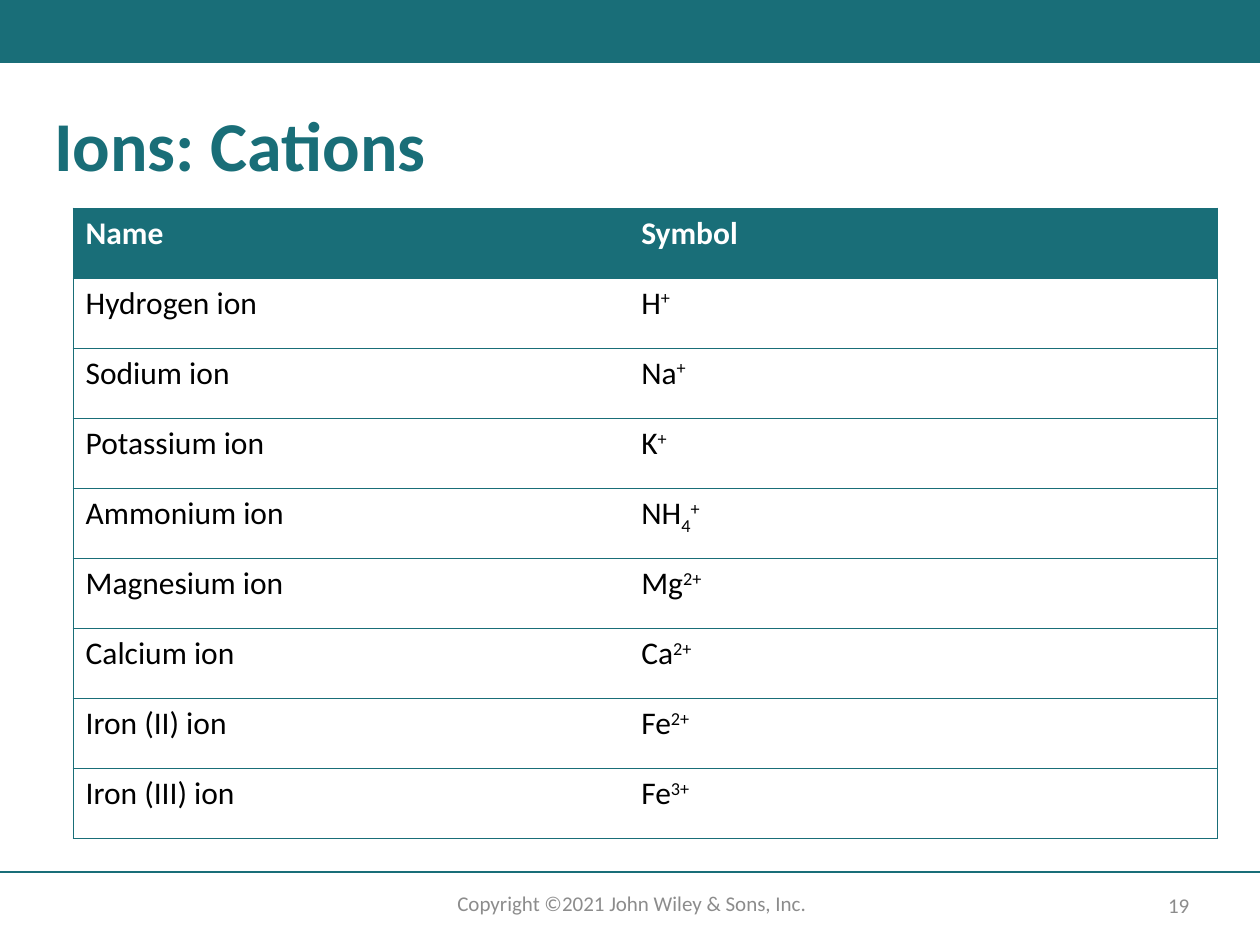
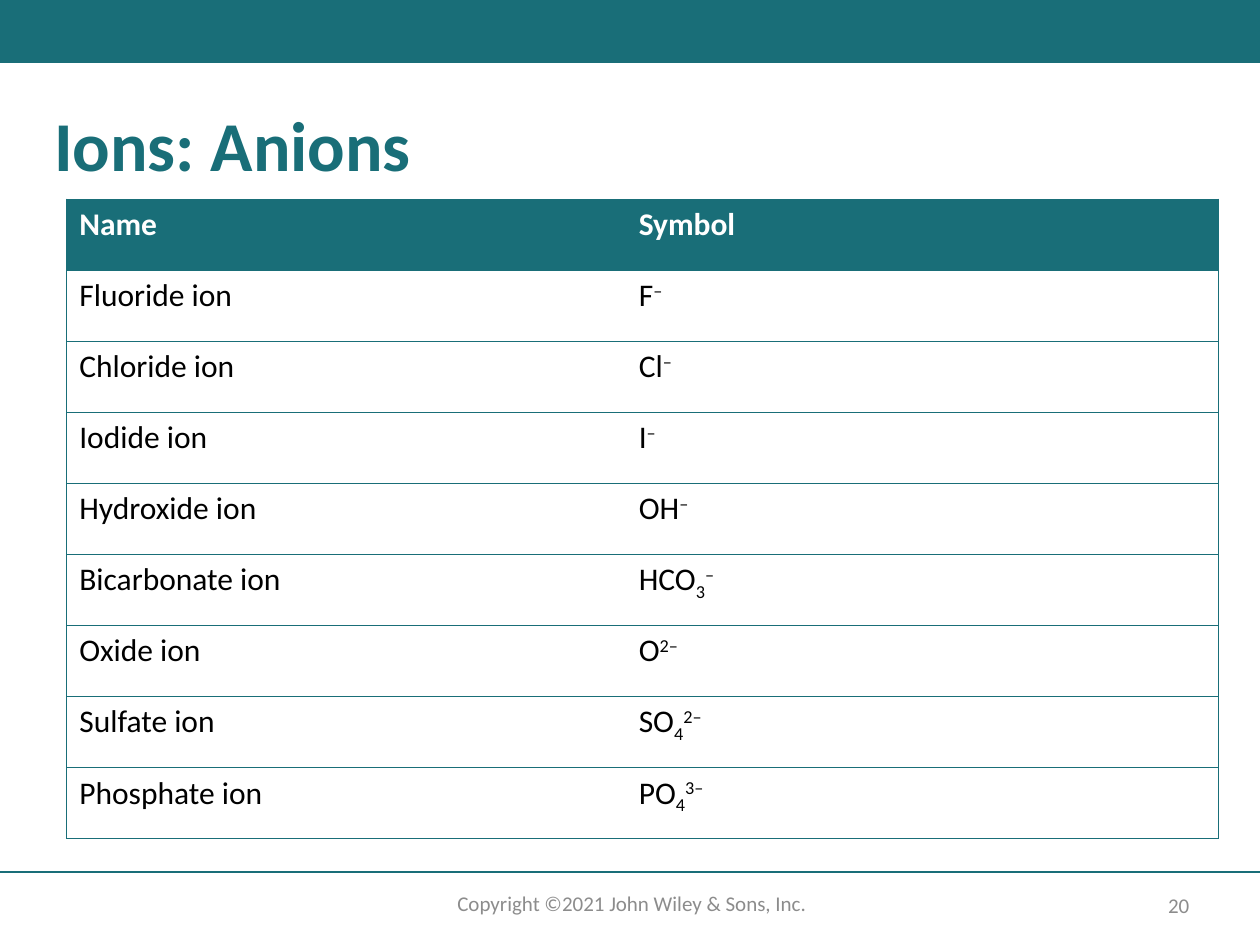
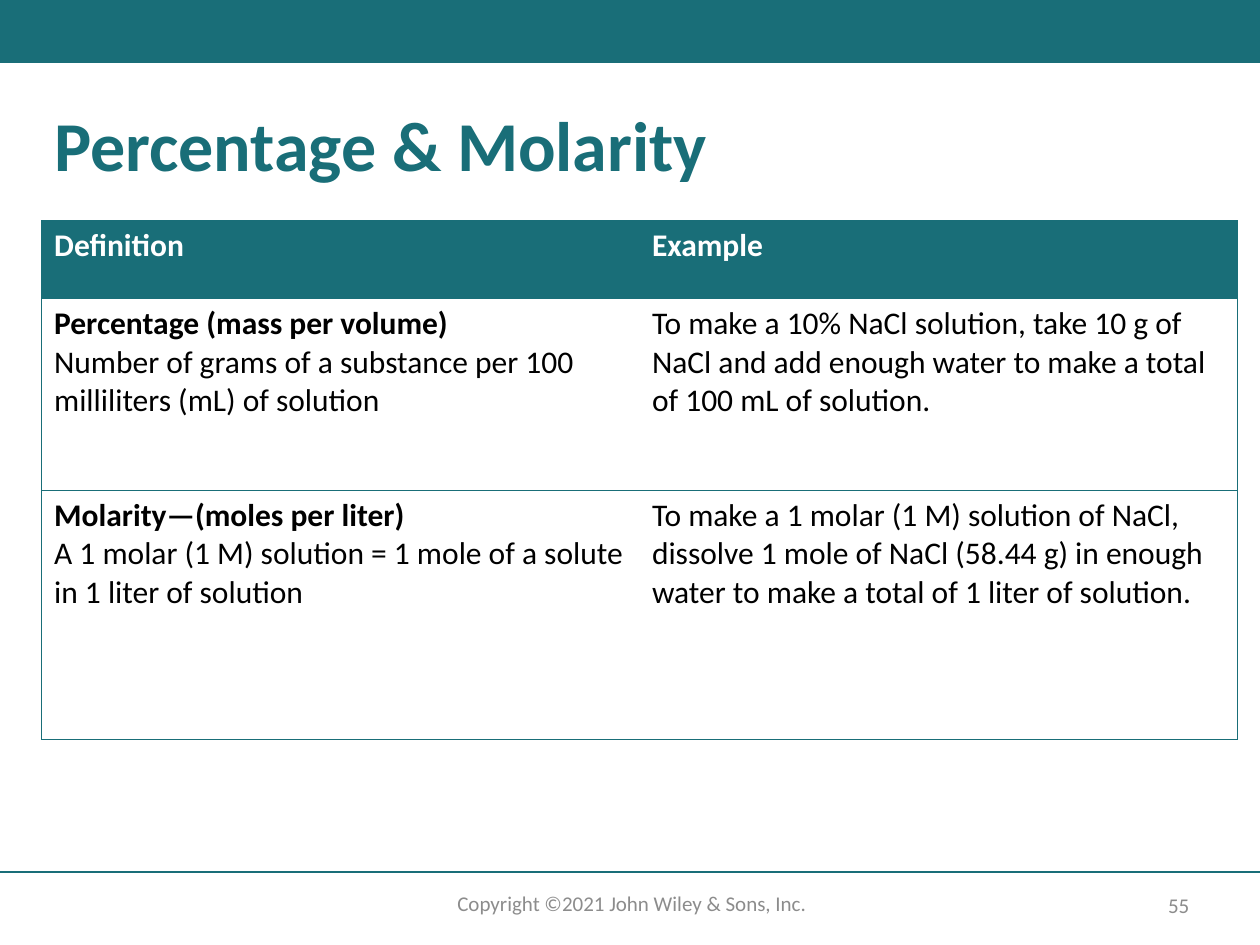
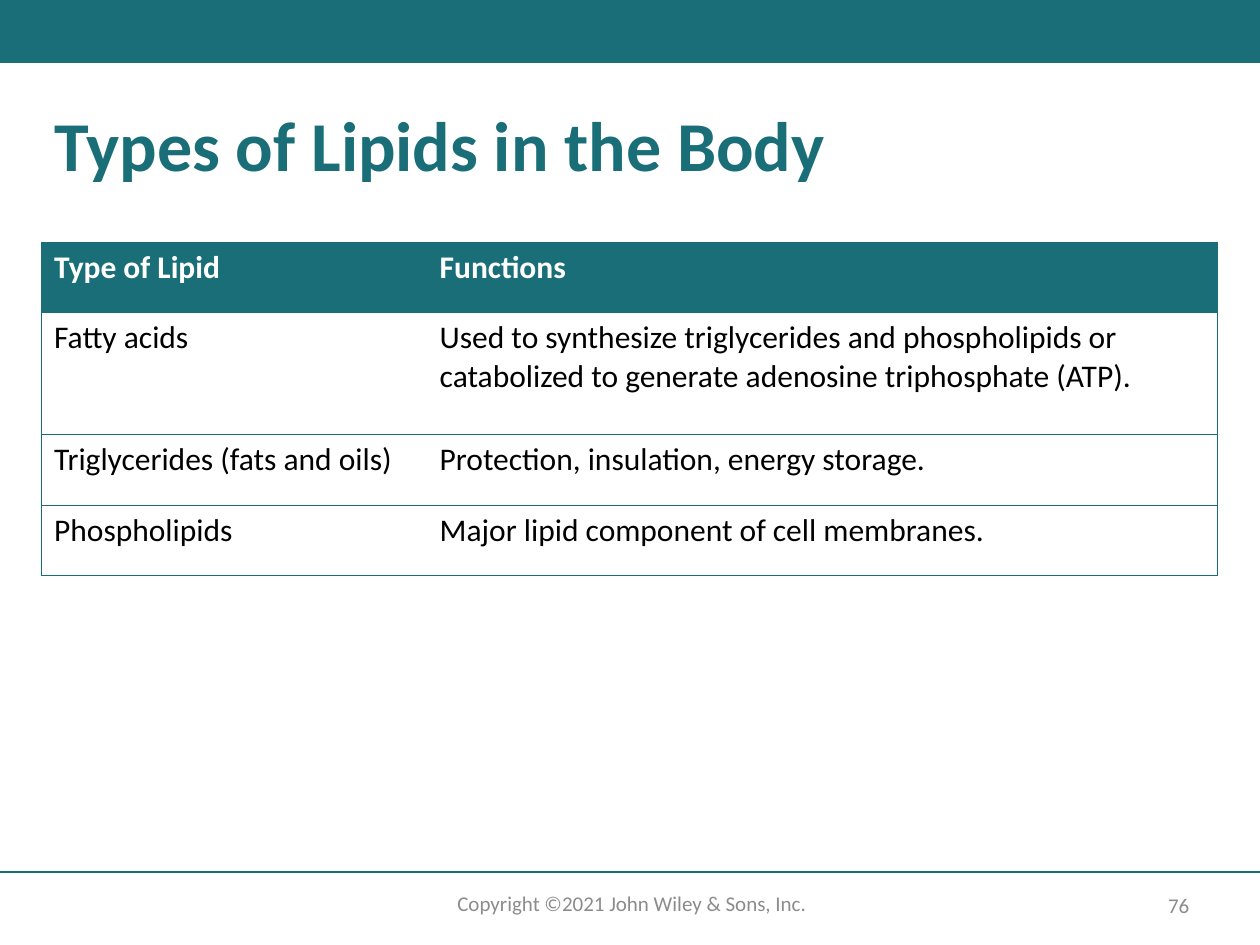
from dataclasses import dataclass

from lxml import etree
from pptx import Presentation
from pptx.dml.color import RGBColor
from pptx.enum import shapes, text
from pptx.oxml import ns
from pptx.util import Inches, Pt


@dataclass(frozen=True)
class Theme:
    teal: str = "196E78"
    white: str = "FFFFFF"
    ink: str = "000000"
    gray: str = "8C8C8C"
    face: str = "Calibri"
    title_size: int = 40
    table_size: int = 18
    footer_size: int = 12
    rule_width: float = 1
    border_width: float = 0.5
    plain_table: str = "{2D5ABB26-0587-4C30-8999-92F81FD0307C}"


@dataclass(frozen=True)
class Box:
    left: float
    top: float
    width: float
    height: float

    def lengths(self):
        return [Inches(n) for n in (self.left, self.top, self.width, self.height)]


THEME = Theme()
SUBSCRIPT, SUPERSCRIPT = "-25000", "30000"

BAND = Box(0, 0, 10, 0.5)
FOOTER = Box(0, 6.92, 10, 0.58)
TITLE = Box(0.33, 0.83, 9.33, 0.92)

# Each ion: name, stem, subscript, charge
CATIONS = [
    ("Hydrogen ion", "H", "", "+"),
    ("Sodium ion", "Na", "", "+"),
    ("Potassium ion", "K", "", "+"),
    ("Ammonium ion", "NH", "4", "+"),
    ("Magnesium ion", "Mg", "", "2+"),
    ("Calcium ion", "Ca", "", "2+"),
    ("Iron (II) ion", "Fe", "", "2+"),
    ("Iron (III) ion", "Fe", "", "3+"),
]
ANIONS = [
    ("Fluoride ion", "F", "", "–"),
    ("Chloride ion", "Cl", "", "–"),
    ("Iodide ion", "I", "", "–"),
    ("Hydroxide ion", "OH", "", "–"),
    ("Bicarbonate ion", "HCO", "3", "–"),
    ("Oxide ion", "O", "", "2–"),
    ("Sulfate ion", "SO", "4", "2–"),
    ("Phosphate ion", "PO", "4", "3–"),
]

# Each concentration: term, meaning, example
CONCENTRATIONS = [
    ("Percentage (mass per volume)",
     "Number of grams of a substance per 100 milliliters (mL) of solution",
     "To make a 10% NaCl solution, take 10 g of NaCl and add enough water "
     "to make a total of 100 mL of solution."),
    ("Molarity—(moles per liter)",
     "A 1 molar (1 M) solution = 1 mole of a solute in 1 liter of solution",
     "To make a 1 molar (1 M) solution of NaCl, dissolve 1 mole of NaCl (58.44 g) "
     "in enough water to make a total of 1 liter of solution."),
]
LIPIDS = [
    ("Fatty acids", "Used to synthesize triglycerides and phospholipids or "
                    "catabolized to generate adenosine triphosphate (ATP)."),
    ("Triglycerides (fats and oils)", "Protection, insulation, energy storage."),
    ("Phospholipids", "Major lipid component of cell membranes."),
]


def style(para, size, color, bold=False):
    font = para.font
    font.name, font.size, font.bold = THEME.face, Pt(size), bold
    font.color.rgb = RGBColor.from_string(color)


def add_footer_text(page, box, words):
    label = page.shapes.add_textbox(*box.lengths())
    frame = label.text_frame
    frame.word_wrap = True
    para = frame.paragraphs[0]
    para.text = words
    para.alignment = text.PP_ALIGN.CENTER
    style(para, THEME.footer_size, THEME.gray)
    return label


def build_layout(layout, page):
    """Draw the shared band, rule and copyright line, then move them to the layout."""
    band = page.shapes.add_shape(shapes.MSO_SHAPE.RECTANGLE, *BAND.lengths())
    band.shadow.inherit = False
    band.fill.solid()
    band.fill.fore_color.rgb = RGBColor.from_string(THEME.teal)
    band.line.fill.background()

    left, top, width, _ = FOOTER.lengths()
    rule = page.shapes.add_connector(
        shapes.MSO_CONNECTOR.STRAIGHT, left, top, left + width, top)
    rule.line.color.rgb = RGBColor.from_string(THEME.teal)
    rule.line.width = Pt(THEME.rule_width)
    etree.SubElement(rule.element.spPr, ns.qn("a:effectLst"))

    notice = add_footer_text(
        page, Box(FOOTER.left + 3.22, FOOTER.top + 0.1, 3.59, 0.3),
        "Copyright ©2021 John Wiley & Sons, Inc.")
    notice.text_frame.auto_size = text.MSO_AUTO_SIZE.SHAPE_TO_FIT_TEXT

    for part in (band, rule, notice):
        layout.shapes.element.append(part.element)


def add_page(deck, layout, title, number):
    page = deck.slides.add_slide(layout)

    # Title
    heading = page.shapes.title
    heading.left, heading.top, heading.width, heading.height = TITLE.lengths()
    frame = heading.text_frame
    frame.text = title
    frame.word_wrap = True
    frame.auto_size = text.MSO_AUTO_SIZE.NONE
    frame.vertical_anchor = text.MSO_ANCHOR.TOP
    para = frame.paragraphs[0]
    para.alignment = text.PP_ALIGN.LEFT
    para.line_spacing = 0.9
    style(para, THEME.title_size, THEME.teal, bold=True)

    # Page number
    label = add_footer_text(
        page, Box(FOOTER.left + 9.05, FOOTER.top + 0.12, 0.61, 0.28), str(number))
    label.text_frame.vertical_anchor = text.MSO_ANCHOR.MIDDLE
    return page


def add_borders(cell, sides):
    """Line the given sides of a cell, in the order L, R, T, B."""
    properties = cell._tc.get_or_add_tcPr()
    for side in sides:
        line = etree.SubElement(properties, ns.qn(f"a:ln{side}"),
                                w=str(Pt(THEME.border_width)))
        fill = etree.SubElement(line, ns.qn("a:solidFill"))
        etree.SubElement(fill, ns.qn("a:srgbClr"), val=THEME.teal)


def add_ruled_table(page, box, first_column, headings, body_rows, row_heights=()):
    """Add a two-column table; rows share the height unless heights are given."""
    row_count = len(body_rows) + 1
    table = page.shapes.add_table(row_count, 2, *box.lengths()).table
    table._tbl.tblPr.find(ns.qn("a:tableStyleId")).text = THEME.plain_table
    table.horz_banding = False
    table.columns[0].width = Inches(first_column)
    table.columns[1].width = Inches(box.width - first_column)
    for row, height in zip(table.rows, row_heights):
        row.height = Inches(height)

    for row_index, values in enumerate([headings, *body_rows]):
        is_header = row_index == 0
        for column, words in enumerate(values):
            cell = table.cell(row_index, column)
            add_borders(cell, "LTB" if column == 0 else "RTB")
            if is_header:
                cell.fill.solid()
                cell.fill.fore_color.rgb = RGBColor.from_string(THEME.teal)
            else:
                cell.fill.background()
            cell.text_frame.text = words
            for para in cell.text_frame.paragraphs:
                style(para, THEME.table_size,
                      THEME.white if is_header else THEME.ink, bold=is_header)
    return table


def add_ion_table(page, box, first_column, ions):
    rows = [(name, "") for name, *_ in ions]
    table = add_ruled_table(page, box, first_column, ("Name", "Symbol"), rows)
    for row_index, (_, stem, count, charge) in enumerate(ions, start=1):
        para = table.cell(row_index, 1).text_frame.paragraphs[0]
        for words, baseline in ((stem, None), (count, SUBSCRIPT), (charge, SUPERSCRIPT)):
            if words:
                span = para.add_run()
                span.text = words
                if baseline:
                    span._r.get_or_add_rPr().set("baseline", baseline)


def add_concentration_table(page, box):
    rows = [(f"{term}\n{meaning}", example) for term, meaning, example in CONCENTRATIONS]
    table = add_ruled_table(page, box, box.width / 2, ("Definition", "Example"),
                            rows, (0.62, 1.52, 1.98))
    for row_index in range(1, len(rows) + 1):
        table.cell(row_index, 0).text_frame.paragraphs[0].font.bold = True


def main():
    deck = Presentation()
    deck.slide_width, deck.slide_height = Inches(10), Inches(7.5)
    layout = deck.slide_layouts.get_by_name("Title Only")

    # Ions
    page = add_page(deck, layout, "Ions: Cations", 19)
    build_layout(layout, page)
    add_ion_table(page, Box(0.58, 1.65, 9.08, 5.01), 4.41, CATIONS)
    page = add_page(deck, layout, "Ions: Anions", 20)
    add_ion_table(page, Box(0.53, 1.58, 9.14, 5.08), 4.44, ANIONS)

    # Concentrations
    page = add_page(deck, layout, "Percentage & Molarity", 55)
    add_concentration_table(page, Box(0.33, 1.75, 9.49, 4.12))

    # Lipids
    page = add_page(deck, layout, "Types of Lipids in the Body", 76)
    add_ruled_table(page, Box(0.33, 1.92, 9.33, 2.65), 3.06,
                    ("Type of Lipid", "Functions"), LIPIDS, (0.56, 0.97, 0.56, 0.56))

    deck.save("out.pptx")


if __name__ == "__main__":
    main()
